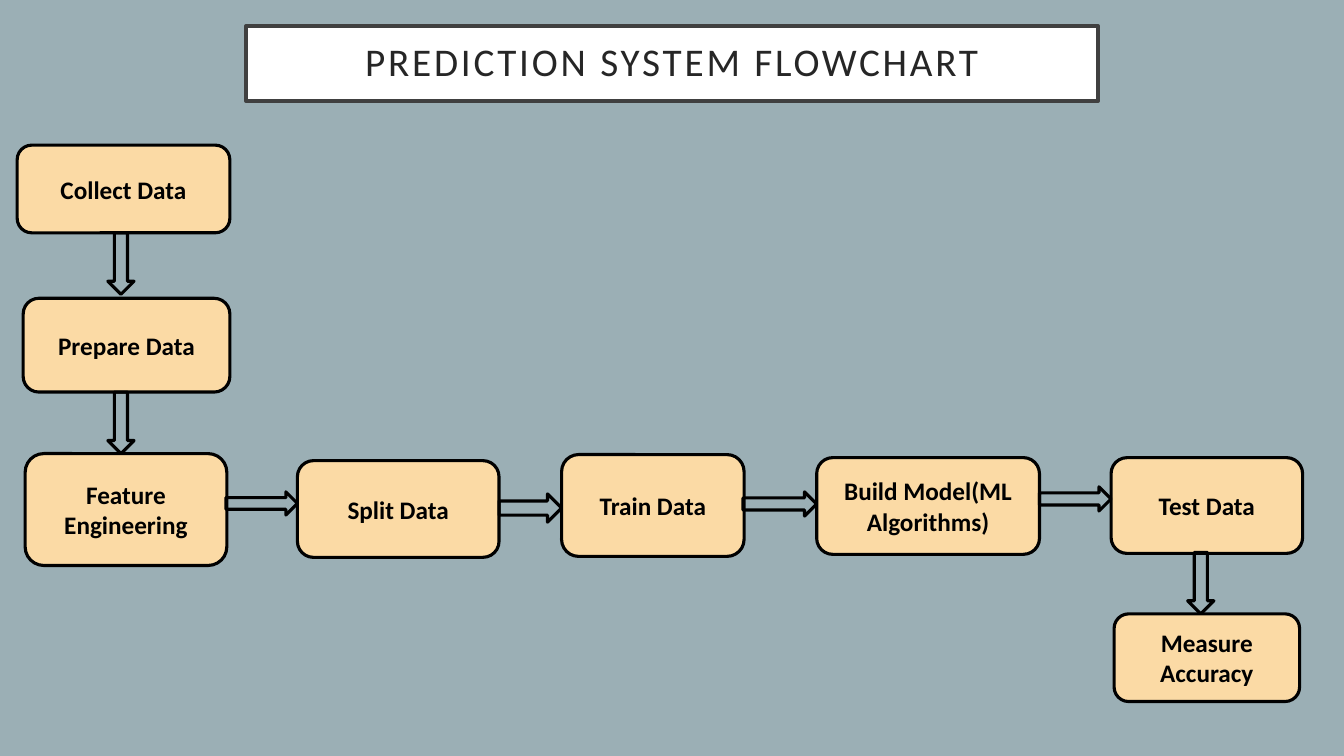
"""Build the prediction system flowchart slide."""
from dataclasses import dataclass

from pptx import Presentation
from pptx import util as u
from pptx.dml import color
from pptx.enum import shapes, text

BACKDROP = color.RGBColor(0x9B, 0xAF, 0xB5)
WHITE = color.RGBColor(0xFF, 0xFF, 0xFF)
PEACH = color.RGBColor(0xFB, 0xDA, 0xA5)
BLACK = color.RGBColor(0x00, 0x00, 0x00)
FRAME = color.RGBColor(0x40, 0x40, 0x40)
INK = color.RGBColor(0x26, 0x26, 0x26)

RECT = shapes.MSO_SHAPE.RECTANGLE
ROUND = shapes.MSO_SHAPE.ROUNDED_RECTANGLE
DOWN = shapes.MSO_SHAPE.DOWN_ARROW
RIGHT = shapes.MSO_SHAPE.RIGHT_ARROW

FRAME_FORMAT = {"word_wrap": True, "vertical_anchor": text.MSO_ANCHOR.MIDDLE}
TITLE_FRAME = FRAME_FORMAT | {"margin_top": 0, "margin_bottom": 0}
STEP_FONT = {"name": "Calibri", "size": u.Pt(18), "bold": True}
TITLE_FONT = {"name": "Calibri", "size": u.Pt(28), "bold": False}


@dataclass(frozen=True)
class Box:
    left: float
    top: float
    width: float
    height: float


@dataclass(frozen=True)
class Step:
    label: str
    box: Box


@dataclass(frozen=True)
class Arrow:
    kind: shapes.MSO_SHAPE
    box: Box


STEPS = [
    Step("Collect Data", Box(0.17, 1.44, 2.11, 0.87)),
    Step("Prepare Data", Box(0.23, 2.96, 2.05, 0.93)),
    Step("Feature Engineering", Box(0.25, 4.5, 2, 1.11)),
    Step("Split Data", Box(2.95, 4.57, 2, 0.96)),
    Step("Train Data", Box(5.57, 4.51, 1.81, 1.01)),
    Step("Build Model(ML Algorithms)", Box(8.1, 4.54, 2.21, 0.96)),
    Step("Test Data", Box(11.02, 4.54, 1.9, 0.95)),
    Step("Measure Accuracy", Box(11.05, 6.09, 1.84, 0.87)),
]

DOWN_ARROWS = [
    Arrow(DOWN, Box(left, top, 0.26, 0.61))
    for left, top in [(1.07, 2.31), (1.07, 3.89), (11.78, 5.48)]
]
RIGHT_ARROWS = [
    Arrow(RIGHT, Box(2.24, 4.88, 0.71, 0.23)),
    Arrow(RIGHT, Box(4.95, 4.9, 0.62, 0.28)),
    Arrow(RIGHT, Box(7.37, 4.88, 0.73, 0.24)),
    Arrow(RIGHT, Box(10.31, 4.83, 0.71, 0.24)),
]


def set_all(target: object, values: dict) -> None:
    for name, value in values.items():
        setattr(target, name, value)


def add_outline(s, kind, box: Box, fill=None, line=BLACK, weight: float = 2.25):
    sp = s.shapes.add_shape(
        kind, *map(u.Inches, (box.left, box.top, box.width, box.height))
    )
    sp.shadow.inherit = False
    if fill is None:
        sp.fill.background()
    else:
        sp.fill.solid()
        sp.fill.fore_color.rgb = fill
    sp.line.color.rgb = line
    sp.line.width = u.Pt(weight)
    return sp


def add_label(sp, label: str, font: dict, ink, frame: dict = FRAME_FORMAT):
    tf = sp.text_frame
    set_all(tf, frame)
    p = tf.paragraphs[0]
    p.alignment = text.PP_ALIGN.CENTER
    r = p.add_run()
    r.text = label
    set_all(r.font, font)
    r.font.color.rgb = ink
    return r


def add_title(s) -> None:
    sp = add_outline(s, RECT, Box(2.44, 0.26, 8.45, 0.74), WHITE, FRAME, 3)
    r = add_label(sp, "PREDICTION SYSTEM FLOWCHART", TITLE_FONT, INK, TITLE_FRAME)
    sp.text_frame.paragraphs[0].line_spacing = 0.9
    r._r.get_or_add_rPr().set("spc", "200")


def main() -> None:
    prs = Presentation()
    prs.slide_width, prs.slide_height = u.Inches(13.33), u.Inches(7.5)
    s = prs.slides.add_slide(prs.slide_layouts[6])
    s.background.fill.solid()
    s.background.fill.fore_color.rgb = BACKDROP
    add_title(s)
    for step in STEPS:
        add_label(add_outline(s, ROUND, step.box, PEACH), step.label, STEP_FONT, BLACK)
    for arrow in DOWN_ARROWS + RIGHT_ARROWS:
        add_outline(s, arrow.kind, arrow.box)
    prs.save("out.pptx")


if __name__ == "__main__":
    main()
